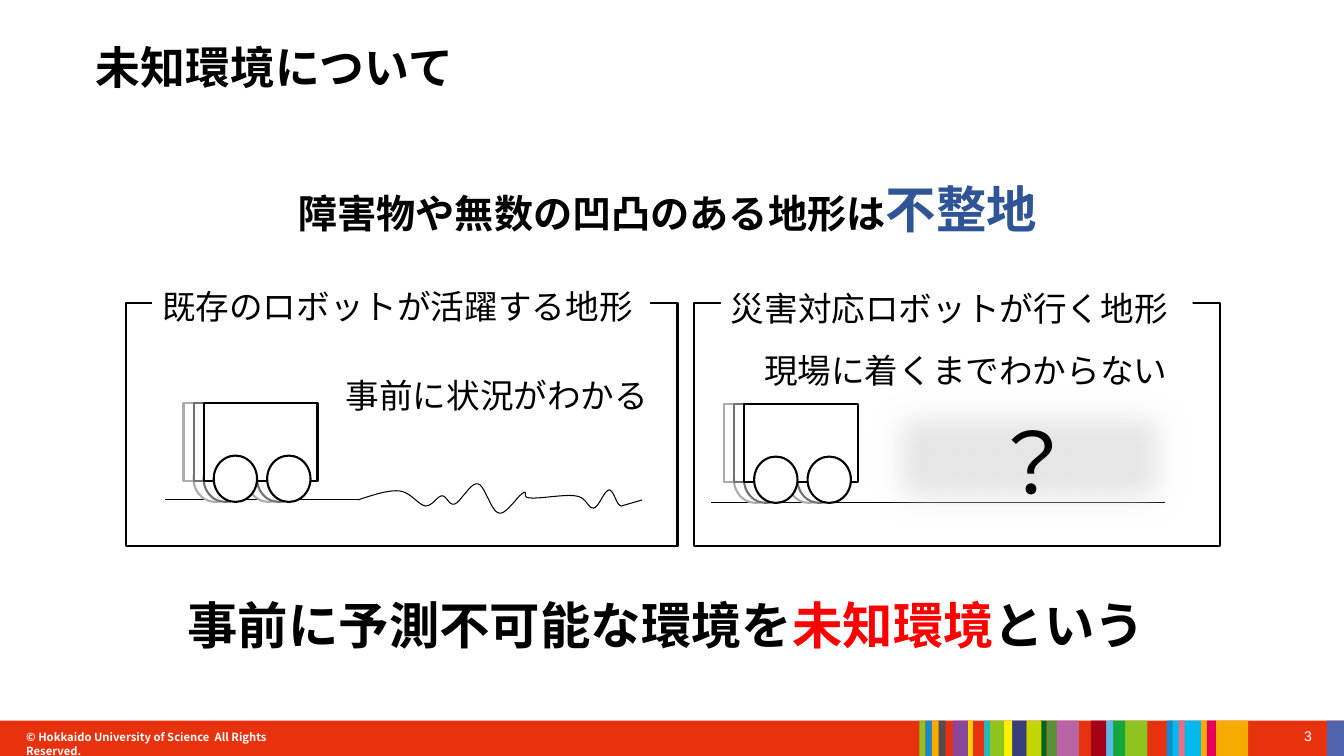
from lxml import etree
from pptx import Presentation
from pptx.dml.color import RGBColor
from pptx.enum.shapes import MSO_CONNECTOR, MSO_SHAPE
from pptx.enum.text import MSO_ANCHOR, PP_ALIGN
from pptx.oxml.ns import qn
from pptx.util import Inches, Pt

RECTANGLE = MSO_SHAPE.RECTANGLE
WHEEL = MSO_SHAPE.FLOWCHART_CONNECTOR
STRAIGHT = MSO_CONNECTOR.STRAIGHT
TOP, MIDDLE = MSO_ANCHOR.TOP, MSO_ANCHOR.MIDDLE
LEFT, RIGHT = PP_ALIGN.LEFT, PP_ALIGN.RIGHT
CJK_FONT = "Noto Sans CJK JP"
COLORS = {
    "black": "000000", "white": "FFFFFF", "red": "FF0000", "blue": "2F5597",
    "footer": "E8320D", "mist": "E7E6E6", "far": "AFABAB", "near": "767171",
    "amber": "F6AB00", "indigo": "5063AF", "magenta": "E5005A", "cyan": "00B9EF",
    "pink": "EC6D81", "lime": "8FC320", "azure": "118CCF", "green": "14A73C",
    "sky": "5DB7E9", "crimson": "A40018", "mauve": "B863A4", "moss": "598F35",
    "forest": "006428", "chartreuse": "C3D600", "navy": "36407B",
    "yellow": "FFF100", "gold": "FDD100", "teal": "23B8BC", "purple": "884799",
    "brown": "584A4F",
}
STRIPES = [
    (11.91, 0.47, "amber"), (13.16, 0.18, "indigo"), (11.97, 0.09, "magenta"),
    (11.6, 0.31, "cyan"), (11.69, 0.06, "pink"), (11.16, 0.22, "lime"),
    (11.57, 0.06, "azure"), (11.01, 0.15, "green"), (10.97, 0.07, "sky"),
    (10.82, 0.15, "crimson"), (10.47, 0.23, "mauve"), (10.38, 0.1, "moss"),
    (10.32, 0.06, "forest"), (10.18, 0.15, "chartreuse"), (10.03, 0.15, "navy"),
    (9.96, 0.08, "yellow"), (9.59, 0.06, "gold"), (9.81, 0.15, "lime"),
    (9.76, 0.06, "teal"), (9.45, 0.15, "purple"), (9.3, 0.08, "brown"),
    (9.24, 0.07, "amber"), (9.12, 0.06, "lime"), (9.18, 0.06, "azure"),
]
TERRAIN_START = (3.55, 4.96)
TERRAIN_CURVES = [
    ((3.7, 4.91), (3.85, 4.86), (3.96, 4.87)),
    ((4.07, 4.88), (4.15, 5.01), (4.22, 5.02)),
    ((4.29, 5.02), (4.34, 4.92), (4.38, 4.92)),
    ((4.43, 4.91), (4.45, 5.02), (4.51, 5)),
    ((4.57, 4.98), (4.67, 4.78), (4.74, 4.8)),
    ((4.81, 4.81), (4.87, 5.08), (4.95, 5.09)),
    ((5.02, 5.11), (5.14, 4.91), (5.19, 4.89)),
    ((5.24, 4.86), (5.17, 4.94), (5.26, 4.94)),
    ((5.35, 4.95), (5.61, 4.9), (5.71, 4.92)),
    ((5.82, 4.93), (5.83, 5.05), (5.89, 5.04)),
    ((5.94, 5.03), (5.99, 4.87), (6.04, 4.86)),
    ((6.09, 4.86), (6.11, 5.01), (6.16, 5.02)),
]
TERRAIN_END = (6.37, 4.96)
CURVE_STEPS = 10


def rgb(name):
    """Return the named colour."""
    return RGBColor.from_string(COLORS[name])


def style_shape(shape, fill=None, line=None, width=1.5):
    """Set fill and outline, and remove the shadow."""
    shape.shadow.inherit = False
    if fill:
        shape.fill.solid()
        shape.fill.fore_color.rgb = rgb(fill)
    else:
        shape.fill.background()
    if line:
        shape.line.color.rgb = rgb(line)
        shape.line.width = Pt(width)
    else:
        shape.line.fill.background()


def add_shape(slide, kind, box, fill=None, line=None, width=1.5):
    """Add a preset shape at box (left, top, width, height)."""
    shape = slide.shapes.add_shape(kind, *map(Inches, box))
    style_shape(shape, fill, line, width)
    return shape


def add_text(slide, box, runs, size, font="Arial", bold=False, color="black",
             align=LEFT, anchor=MIDDLE, inset=True, fill=None):
    """Add one paragraph; runs are (text, size, colour), None meaning the default."""
    text_box = slide.shapes.add_textbox(*map(Inches, box))
    if fill:
        text_box.fill.solid()
        text_box.fill.fore_color.rgb = rgb(fill)
    frame = text_box.text_frame
    frame.word_wrap = True
    frame.vertical_anchor = anchor
    if not inset:
        frame.margin_left = frame.margin_right = 0
        frame.margin_top = frame.margin_bottom = 0
    paragraph = frame.paragraphs[0]
    paragraph.alignment = align
    paragraph.font.name = font
    paragraph.font.size = Pt(size)
    paragraph.font.bold = bold
    paragraph.font.color.rgb = rgb(color)
    properties = paragraph._p.get_or_add_pPr().find(qn("a:defRPr"))
    etree.SubElement(properties, qn("a:ea")).set("typeface", CJK_FONT)
    for text, run_size, run_color in runs:
        run = paragraph.add_run()
        run.text = text
        if run_size:
            run.font.size = Pt(run_size)
        if run_color:
            run.font.color.rgb = rgb(run_color)


def add_ground(slide, left, right, y):
    """Add a level ground line."""
    ground = slide.shapes.add_connector(
        STRAIGHT, Inches(left), Inches(y), Inches(right), Inches(y))
    ground.line.color.rgb = rgb("black")
    ground.line.width = Pt(0.75)
    etree.SubElement(ground._element.spPr, qn("a:effectLst"))


def add_terrain(slide):
    """Add the uneven ground as an open outline."""
    points = []
    start = TERRAIN_START
    for first, second, end in TERRAIN_CURVES:
        for step in range(1, CURVE_STEPS + 1):
            t = step / CURVE_STEPS
            weights = ((1 - t) ** 3, 3 * t * (1 - t) ** 2, 3 * t * t * (1 - t), t ** 3)
            corners = (start, first, second, end)
            points.append([sum(w * corner[axis] for w, corner in zip(weights, corners))
                           for axis in (0, 1)])
        start = end
    points.append(TERRAIN_END)
    builder = slide.shapes.build_freeform(*map(Inches, TERRAIN_START))
    builder.add_line_segments([tuple(map(Inches, point)) for point in points], close=False)
    style_shape(builder.convert_to_shape(), line="black", width=0.75)


def add_robot(slide, left, top):
    """Add a two-wheeled robot with two fading motion ghosts behind it."""
    for layer, color in enumerate(("far", "near", "black")):
        x = left + 0.1 * layer
        add_shape(slide, RECTANGLE, (x, top, 1.13, 0.77), "white", color)
        for offset in (0.63, 0.1):
            add_shape(slide, WHEEL, (x + offset, top + 0.52, 0.43, 0.46), "white", color)


def add_unknown_area(slide):
    """Add the soft-edged grey area with its question mark."""
    area = add_shape(slide, RECTANGLE, (8.51, 3.72, 3.4, 1.64), "mist", "black", 0.75)
    effects = area._element.spPr.find(qn("a:effectLst"))
    etree.SubElement(effects, qn("a:softEdge")).set("rad", str(Pt(25)))
    add_text(slide, (9.73, 4.02, 1.1, 1.11), [("？", None, None)], 60)


def add_footer(slide):
    """Add the footer band, its stripes, the copyright line and the page number."""
    add_shape(slide, RECTANGLE, (0, 7.15, 13.33, 0.35), "footer")
    add_text(slide, (12.44, 7.17, 0.67, 0.52), [("3", None, None)], 10,
             color="white", align=RIGHT, anchor=TOP)
    add_text(slide, (0.26, 7.25, 2.69, 0.13),
             [("© Hokkaido University of Science  All Rights Reserved.", None, None)], 8,
             font=CJK_FONT, bold=True, color="white", anchor=TOP, inset=False)
    for left, width, color in STRIPES:
        add_shape(slide, RECTANGLE, (left, 7.15, width, 0.35), color)


def main():
    """Build the slide and save it."""
    presentation = Presentation()
    presentation.slide_width = Inches(13.33)
    presentation.slide_height = Inches(7.5)
    slide = presentation.slides.add_slide(presentation.slide_layouts[6])
    add_footer(slide)
    for left, width in ((1.25, 5.47), (6.88, 5.22)):
        add_shape(slide, RECTANGLE, (left, 3.01, width, 2.41), line="black")
    add_text(slide, (0.95, 0.36, 11.43, 0.61), [("未知環境について", None, None)], 32,
             font=CJK_FONT, bold=True, inset=False)
    add_text(slide, (2.86, 1.71, 7.61, 0.71),
             [("障害物や無数の凹凸のある地形は", None, None), ("不整地", 36, "blue")],
             28, bold=True)
    add_text(slide, (1.76, 5.84, 9.79, 0.71),
             [("事前に予測不可能な環境を", None, None), ("未知環境", None, "red"),
              ("という", None, None)], 36, bold=True)

    add_ground(slide, 1.64, 3.55, 4.96)
    add_text(slide, (3.33, 3.67, 3.24, 0.5), [("事前に状況がわかる", None, None)], 24)
    add_text(slide, (1.51, 2.79, 4.94, 0.5),
             [("既存のロボットが活躍する地形", None, None)], 24, fill="white")
    add_robot(slide, 1.82, 4)

    add_text(slide, (7.48, 3.42, 4.5, 0.5), [("現場に着くまでわからない", None, None)], 24)
    add_text(slide, (7.15, 2.81, 4.68, 0.5),
             [("災害対応ロボットが行く地形", None, None)], 24, fill="white")
    add_ground(slide, 7.05, 11.55, 4.99)
    add_unknown_area(slide)
    add_robot(slide, 7.18, 4.01)
    add_terrain(slide)
    presentation.save("out.pptx")


if __name__ == "__main__":
    main()
